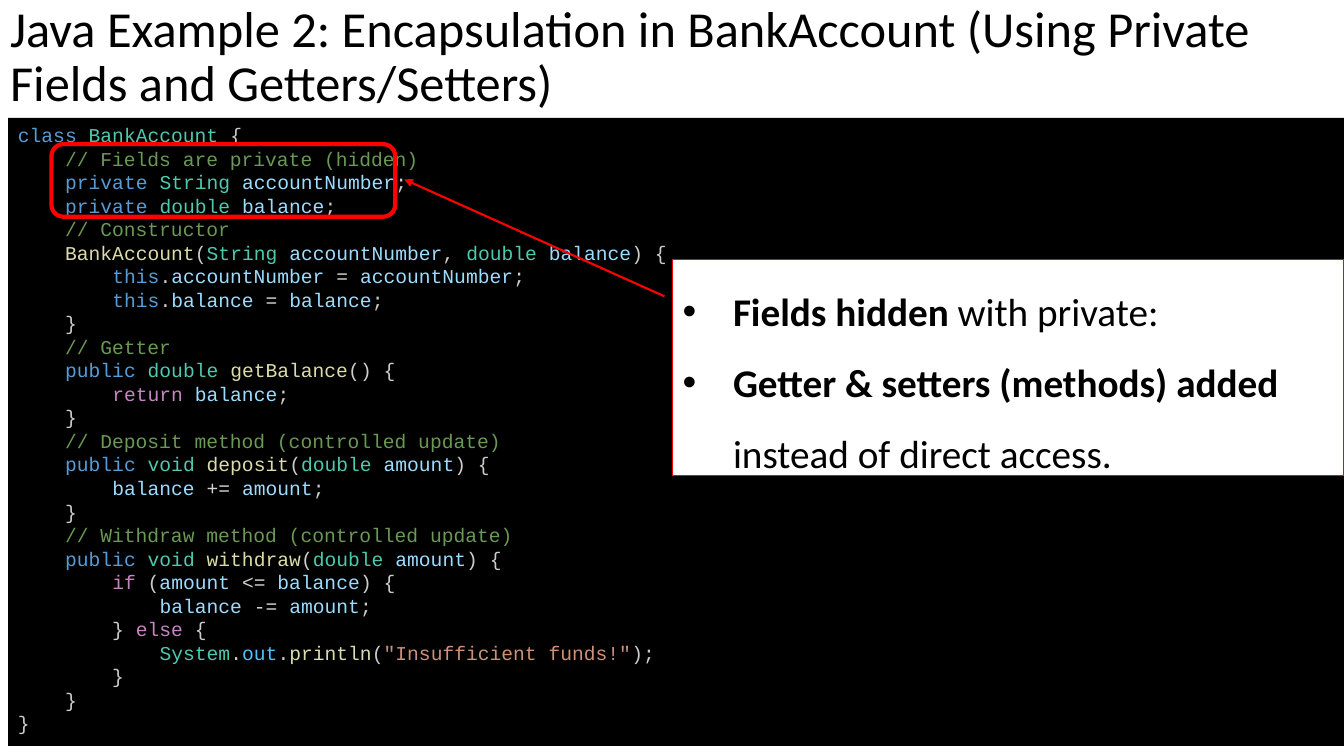
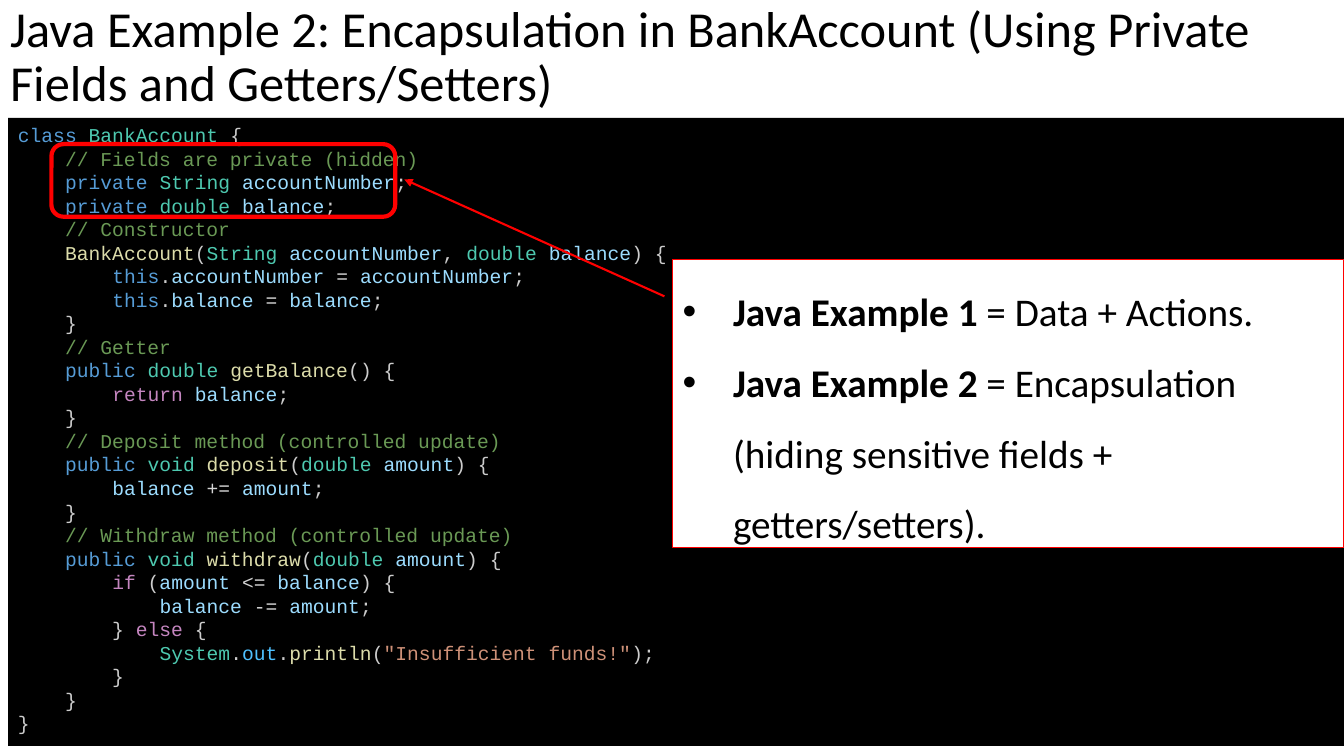
from itertools import groupby

from lxml.etree import SubElement
from pptx import Presentation
from pptx.dml.color import RGBColor as Rgb
from pptx.enum.shapes import MSO_CONNECTOR as Link, MSO_SHAPE as Kind
from pptx.enum.text import MSO_ANCHOR as Anchor, MSO_AUTO_SIZE as Fit, PP_ALIGN as Align
from pptx.oxml.ns import qn
from pptx.util import Inches, Pt

COLORS = {
    "black": "000000", "white": "FFFFFF", "red": "FF0000",
    "key": "569CD6", "type": "4EC9B0", "mark": "CCCCCC", "note": "6A9955",
    "field": "9CDCFE", "call": "DCDCAA", "flow": "C586C0", "sign": "D4D4D4",
    "const": "4FC1FF", "quote": "CE9178",
}
GROUPS = {
    "key": "class private public this",
    "type": "BankAccount String double void System",
    "flow": "return if else",
    "const": "out",
}
WORDS = {word: tone for tone, text in GROUPS.items() for word in text.split()}

TITLE = "Java Example 2: Encapsulation in BankAccount (Using Private Fields and Getters/Setters)"
CODE = """class BankAccount {
    // Fields are private (hidden)
    private String accountNumber;
    private double balance;
    // Constructor
    BankAccount(String accountNumber, double balance) {
        this.accountNumber = accountNumber;
        this.balance = balance;
    }
    // Getter
    public double getBalance() {
        return balance;
    }
    // Deposit method (controlled update)
    public void deposit(double amount) {
        balance += amount;
    }
    // Withdraw method (controlled update)
    public void withdraw(double amount) {
        if (amount <= balance) {
            balance -= amount;
        } else {
            System.out.println("Insufficient funds!");
        }
    }
}"""
NOTES = [
    (2.15, [("Fields hidden", " with private:"),
            ("Getter & setters (methods) added", " instead of direct access.")]),
    (2.86, [("Java Example 1", " = Data + Actions."),
            ("Java Example 2", " = Encapsulation (hiding sensitive fields + getters/setters).")]),
]


def color(name):
    return Rgb.from_string(COLORS[name])


def sort(char):
    if char.isalnum():
        return "word"
    return "sign" if char in "=+-<" else "mark"


def split(line):
    if line.lstrip().startswith("//"):
        return [(line, "note")]
    parts = []
    for index, piece in enumerate(line.split('"')):
        if index % 2:
            parts.append((f'"{piece}"', "quote"))
            continue
        tokens = [(kind, "".join(chars)) for kind, chars in groupby(piece, sort)]
        for (kind, text), (_, after) in zip(tokens, tokens[1:] + [("", "")]):
            if kind == "word":
                kind = "call" if after.startswith("(") else WORDS.get(text, "field")
            parts.append((text, kind))
    return parts


class Deck:
    font = "Calibri"
    mono = "Courier New"

    def __init__(self):
        self.file = Presentation()
        self.file.slide_width = Inches(13.33)
        self.file.slide_height = Inches(7.5)

    def start(self):
        self.slide = self.file.slides.add_slide(self.file.slide_layouts[1])
        self.shapes = self.slide.shapes

    def place(self, shape, left, top, width, height):
        shape.left, shape.top = Inches(left), Inches(top)
        shape.width, shape.height = Inches(width), Inches(height)

    def style(self, para, size, face, tone=None):
        para.font.size = Pt(size)
        para.font.name = face
        if tone:
            para.font.color.rgb = color(tone)

    def frame(self, shape, anchor):
        frame = shape.text_frame
        frame.word_wrap = True
        frame.auto_size = Fit.NONE
        frame.vertical_anchor = anchor
        return frame

    def stroke(self, line, width):
        line.color.rgb = color("red")
        line.width = Pt(width)

    def title(self, text):
        shape = self.shapes.title
        self.place(shape, 0, 0, 13.33, 1.17)
        frame = self.frame(shape, Anchor.BOTTOM)
        frame.text = text
        para = frame.paragraphs[0]
        para.alignment = Align.LEFT
        para.line_spacing = 0.9
        para.space_after = Pt(8)
        self.style(para, 36, self.font, "black")

    def code(self, text):
        panel = self.shapes.add_shape(Kind.RECTANGLE, 0, 0, 0, 0)
        self.place(panel, 0.08, 1.17, 13.33, 6.23)
        panel.shadow.inherit = False
        panel.fill.solid()
        panel.fill.fore_color.rgb = color("black")
        panel.line.fill.background()
        frame = self.frame(panel, Anchor.TOP)
        for index, line in enumerate(text.splitlines()):
            para = frame.add_paragraph() if index else frame.paragraphs[0]
            para.alignment = Align.LEFT
            para.line_spacing = Pt(16.8)
            self.style(para, 14, self.mono)
            for part, tone in split(line):
                run = para.add_run()
                run.text = part
                run.font.color.rgb = color(tone)

    def notes(self, height, items):
        body = self.slide.placeholders[1]
        self.place(body, 6.67, 2.57, 6.66, height)
        self.shapes._spTree.append(body._element)
        body.fill.solid()
        body.fill.fore_color.rgb = color("white")
        self.stroke(body.line, 0.75)
        frame = self.frame(body, Anchor.TOP)
        for index, (lead, rest) in enumerate(items):
            para = frame.add_paragraph() if index else frame.paragraphs[0]
            props = para._p.get_or_add_pPr()
            props.set("marL", str(Inches(0.5)))
            props.set("indent", str(-Inches(0.5)))
            SubElement(props, qn("a:buFont"), typeface="Arial")
            SubElement(props, qn("a:buChar"), char="•")
            para.line_spacing = 1.5
            para.space_before = Pt(0)
            self.style(para, 28, self.font, "black")
            for part, bold in ((lead, True), (rest, False)):
                run = para.add_run()
                run.text = part
                run.font.bold = bold

    def ring(self, left, top, width, height):
        ring = self.shapes.add_shape(Kind.ROUNDED_RECTANGLE, 0, 0, 0, 0)
        self.place(ring, left, top, width, height)
        ring.shadow.inherit = False
        ring.fill.background()
        self.stroke(ring.line, 3)

    def arrow(self, *ends):
        arrow = self.shapes.add_connector(Link.STRAIGHT, *map(Inches, ends))
        self.stroke(arrow.line, 1.5)
        SubElement(arrow.line._get_or_add_ln(), qn("a:tailEnd"), type="triangle")
        SubElement(arrow._element.spPr, qn("a:effectLst"))


def main():
    deck = Deck()
    for height, items in NOTES:
        deck.start()
        deck.title(TITLE)
        deck.code(CODE)
        deck.notes(height, items)
        deck.ring(0.51, 1.43, 3.41, 0.72)
        deck.arrow(6.59, 2.94, 4.01, 1.78)
    deck.file.save("out.pptx")


if __name__ == "__main__":
    main()
